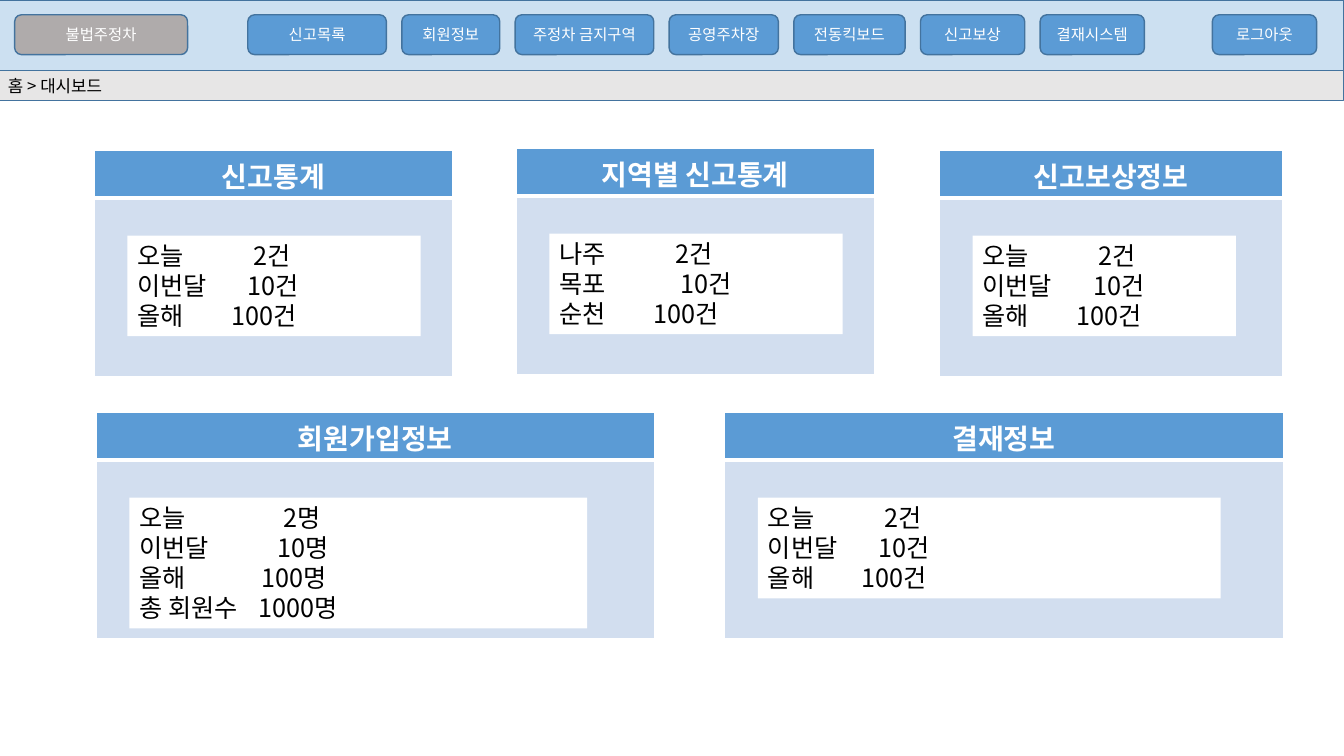
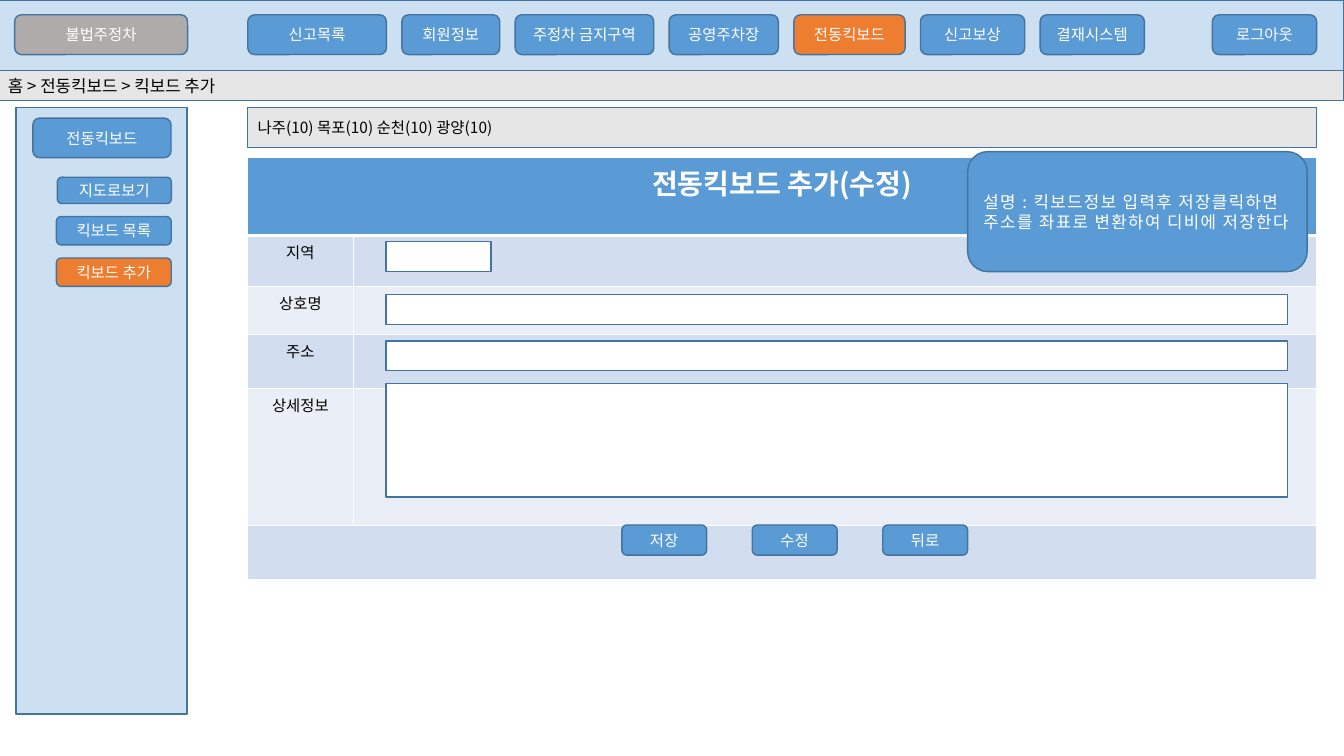
from dataclasses import dataclass
from itertools import accumulate

from lxml.etree import SubElement
from pptx import Presentation
from pptx.dml.color import RGBColor
from pptx.enum.shapes import MSO_SHAPE
from pptx.enum.text import MSO_ANCHOR, MSO_AUTO_SIZE, PP_ALIGN
from pptx.oxml.ns import qn
from pptx.util import Pt


@dataclass(frozen=True)
class Theme:
    """Colours, font and type sizes shared by all slides."""

    font: str = "Noto Sans CJK KR"
    blue: str = "5B9BD5"
    outline: str = "43739E"
    grey: str = "AFABAB"
    pale_grey: str = "E7E6E6"
    orange: str = "ED7D31"
    band: str = "D2DEEF"
    light_band: str = "EAEFF7"
    white: str = "FFFFFF"
    black: str = "000000"
    small: int = 11
    normal: int = 12
    large: int = 18
    heading: int = 20
    leading: float = 1.19
    tint: int = 31


def set_all(target, values):
    """Set each attribute of the target from a dict."""
    for key, value in values.items():
        setattr(target, key, value)


class Screen:
    """Draws the parts of an admin screen on the current slide."""

    MENU = [("신고목록", 99), ("회원정보", 70), ("주정차 금지구역", 99), ("공영주차장", 78),
            ("전동킥보드", 79.5), ("신고보상", 74.5), ("결재시스템", 74.5)]
    MENU_LEFT, MENU_GAP, MENU_TOP, MENU_HEIGHT = 177, 11, 10.6, 28.4

    def __init__(self, deck, theme):
        """Keep the deck and its style."""
        self.deck, self.theme, self.slide = deck, theme, None

    def start(self, crumbs, active=None):
        """Add a slide with the menu bar and the breadcrumb."""
        theme = self.theme
        self.slide = self.deck.slides.add_slide(self.deck.slide_layouts[5])
        crumb_bar = self.slide.shapes.title
        set_all(crumb_bar, dict(left=Pt(-1.5), top=Pt(50.4), width=Pt(961), height=Pt(21.4)))
        self.paint(crumb_bar, theme.pale_grey)
        self.label(crumb_bar.text_frame, crumbs, theme.normal, theme.black)
        self.box((-1.5, 0, 961, 50.4), theme.blue, tint=theme.tint)
        self.menu_button("불법주정차", 10.5, 123.5, theme.grey)
        steps = [width + self.MENU_GAP for _, width in self.MENU]
        lefts = accumulate(steps, initial=self.MENU_LEFT)
        for (label, width), left in zip(self.MENU, lefts):
            self.menu_button(label, left, width, theme.orange if label == active else theme.blue)
        self.menu_button("로그아웃", 866, 74.5, theme.blue)

    def menu_button(self, label, left, width, colour):
        """Add one button of the menu bar."""
        self.button(label, (left, self.MENU_TOP, width, self.MENU_HEIGHT), colour)

    def paint(self, shape, colour, outlined=True, tint=None):
        """Fill and outline a shape."""
        shape.fill.solid()
        shape.fill.fore_color.rgb = RGBColor.from_string(colour)
        if tint:
            shade = shape._element.spPr.find(qn("a:solidFill")).find(qn("a:srgbClr"))
            SubElement(shade, qn("a:alpha"), val=str(tint * 1000))
        if outlined:
            shape.line.color.rgb = RGBColor.from_string(self.theme.outline)
            shape.line.width = Pt(1)
        else:
            shape.line.fill.background()

    def box(self, place, colour, outlined=True, tint=None, form=MSO_SHAPE.RECTANGLE):
        """Add a flat box at a place given in points."""
        shape = self.slide.shapes.add_shape(form, *map(Pt, place))
        shape.shadow.inherit = False
        self.paint(shape, colour, outlined, tint)
        return shape

    def label(self, frame, text, size, colour, align=PP_ALIGN.LEFT):
        """Put one vertically centred paragraph into a text frame."""
        set_all(frame, dict(word_wrap=True, auto_size=MSO_AUTO_SIZE.NONE,
                            vertical_anchor=MSO_ANCHOR.MIDDLE))
        return self.line(frame.paragraphs[0], text, size, colour, align)

    def line(self, paragraph, text, size, colour, align=PP_ALIGN.LEFT, bold=False):
        """Put one formatted run into a paragraph."""
        paragraph.alignment = align
        run = paragraph.add_run()
        run.text = text
        set_all(run.font, dict(size=Pt(size), bold=bold, name=self.theme.font))
        run.font.color.rgb = RGBColor.from_string(colour)
        SubElement(run._r.get_or_add_rPr(), qn("a:ea"), typeface=self.theme.font)
        return run

    def button(self, label, place, colour=None):
        """Add a rounded button with a centred label."""
        theme = self.theme
        shape = self.box(place, colour or theme.blue, form=MSO_SHAPE.ROUNDED_RECTANGLE)
        self.label(shape.text_frame, label, theme.small, theme.white, PP_ALIGN.CENTER)

    def strip(self, text, place):
        """Add a grey strip with a line of text."""
        shape = self.box(place, self.theme.pale_grey)
        self.label(shape.text_frame, text, self.theme.small, self.theme.black)

    def callout(self, text, place):
        """Add a rounded explanation with spaced letters."""
        theme = self.theme
        shape = self.box(place, theme.blue, form=MSO_SHAPE.ROUNDED_RECTANGLE)
        run = self.label(shape.text_frame, text, theme.normal, theme.white)
        run._r.get_or_add_rPr().set("spc", "100")
        shape.text_frame.paragraphs[0].line_spacing = Pt(theme.normal * theme.leading)

    def grid(self, left, top, widths, heights):
        """Add a table with set columns and rows and return it."""
        place = (left, top, sum(widths), sum(heights))
        table = self.slide.shapes.add_table(len(heights), len(widths), *map(Pt, place)).table
        table.horz_banding = False
        for column, width in zip(table.columns, widths):
            column.width = Pt(width)
        for row, height in zip(table.rows, heights):
            row.height = Pt(height)
        for index, row in enumerate(table.rows):
            for cell in row.cells:
                self.cell_style(cell, index)
        return table

    def cell_style(self, cell, index):
        """Give a cell the band of its row and white borders."""
        theme = self.theme
        bands = (theme.light_band, theme.band)
        cell.fill.solid()
        cell.fill.fore_color.rgb = RGBColor.from_string(bands[index % 2] if index else theme.blue)
        cell.margin_bottom = 0
        weights = dict(lnL=1, lnR=1, lnT=3 if index == 1 else 1, lnB=1 if index else 3)
        properties = cell._tc.get_or_add_tcPr()
        for position, (side, weight) in enumerate(weights.items()):
            border = SubElement(properties, qn(f"a:{side}"), w=str(int(Pt(weight))))
            SubElement(SubElement(border, qn("a:solidFill")), qn("a:srgbClr"), val=theme.white)
            properties.insert(position, border)

    def heading(self, table, text):
        """Set the heading of a table."""
        self.line(table.cell(0, 0).text_frame.paragraphs[0], text, self.theme.heading,
                  self.theme.white, PP_ALIGN.CENTER, bold=True)

    def panel(self, title, left, top, width, figures_width, figures):
        """Add a titled panel with a white box of tabbed figures."""
        theme = self.theme
        self.heading(self.grid(left, top, [width], [34, 128]), title)
        leading = theme.large * theme.leading
        place = (left + 23.8, top + 61, figures_width, 7.6 + leading * len(figures))
        frame = self.box(place, theme.white, outlined=False).text_frame
        set_all(frame, dict(word_wrap=True, vertical_anchor=MSO_ANCHOR.TOP))
        for index, (label, amount, stop) in enumerate(figures):
            paragraph = frame.add_paragraph() if index else frame.paragraphs[0]
            paragraph.line_spacing = Pt(leading)
            self.line(paragraph, f"{label}\t{amount}", theme.large, theme.black)
            tabs = SubElement(paragraph._p.get_or_add_pPr(), qn("a:tabLst"))
            SubElement(tabs, qn("a:tab"), pos=str(int(Pt(stop))), algn="l")

    def form(self, title, labels, left, top, widths, heights):
        """Add a form table with a heading, labelled rows and a button row."""
        table = self.grid(left, top, widths, heights)
        for row in (0, len(heights) - 1):
            table.cell(row, 0).merge(table.cell(row, 1))
        self.heading(table, title)
        for row, label in enumerate(labels, 1):
            self.line(table.cell(row, 0).text_frame.paragraphs[0], label, self.theme.small,
                      self.theme.black, PP_ALIGN.CENTER)


def dashboard(screen):
    """Build the dashboard."""
    screen.start("홈 > 대시보드")
    reports = [("오늘", "2건", 83), ("이번달", "10건", 79), ("올해", "100건", 67)]
    regions = [("나주", "2건", 83), ("목포", "10건", 86.5), ("순천", "100건", 67)]
    members = [("오늘", "2명", 103), ("이번달", "10명", 99), ("올해", "100명", 87.5),
               ("총 회원수", "1000명", 85.5)]
    screen.panel("신고통계", 67.2, 107.3, 256, 209.5, reports)
    screen.panel("지역별 신고통계", 368.6, 105.8, 256, 209.5, regions)
    screen.panel("신고보상정보", 671, 107.3, 245.5, 188, reports)
    screen.panel("회원가입정보", 68.6, 294.5, 399, 327, members)
    screen.panel("결재정보", 517.6, 294.5, 399, 330.5, reports)


def scooter_form(screen):
    """Build the form for adding a scooter."""
    theme = screen.theme
    screen.start("홈 > 전동킥보드 > 킥보드 추가", active="전동킥보드")
    screen.box((11.5, 77, 122, 433), theme.blue, tint=theme.tint)
    screen.button("전동킥보드", (23.5, 84.4, 98.7, 28.2))
    screen.button("지도로보기", (41, 126.6, 81.4, 18.8))
    screen.button("킥보드 목록", (40.3, 154.7, 82, 20.3))
    screen.button("킥보드 추가", (40.3, 184.3, 82, 20.3), theme.orange)
    screen.strip("나주(10) 목포(10) 순천(10) 광양(10)", (177, 77, 763.4, 28.2))
    screen.form("전동킥보드 추가(수정)", ["지역", "상호명", "주소", "상세정보"],
                176.7, 112.4, [75.8, 688], [55.8, 36.7, 33.8, 38.7, 97.9, 39])
    fields = [(172.6, 74.8, 21.6), (210.4, 644, 21.6), (243.6, 644, 21.2), (274, 644, 81)]
    for top, width, height in fields:
        screen.box((275.8, top, width, height), theme.white)
    for index, label in enumerate(["저장", "수정", "뒤로"]):
        screen.button(label, (444.2 + 93.2 * index, 375, 60.6, 21.6))
    screen.callout("설명 : 킥보드정보 입력후 저장클릭하면 주소를 좌표로 변환하여 디비에 저장한다",
                   (691.2, 108.3, 242.5, 85.7))


def main():
    """Build and save the deck."""
    deck = Presentation()
    set_all(deck, dict(slide_width=Pt(960), slide_height=Pt(540)))
    screen = Screen(deck, Theme())
    dashboard(screen)
    scooter_form(screen)
    deck.save("out.pptx")


if __name__ == "__main__":
    main()
